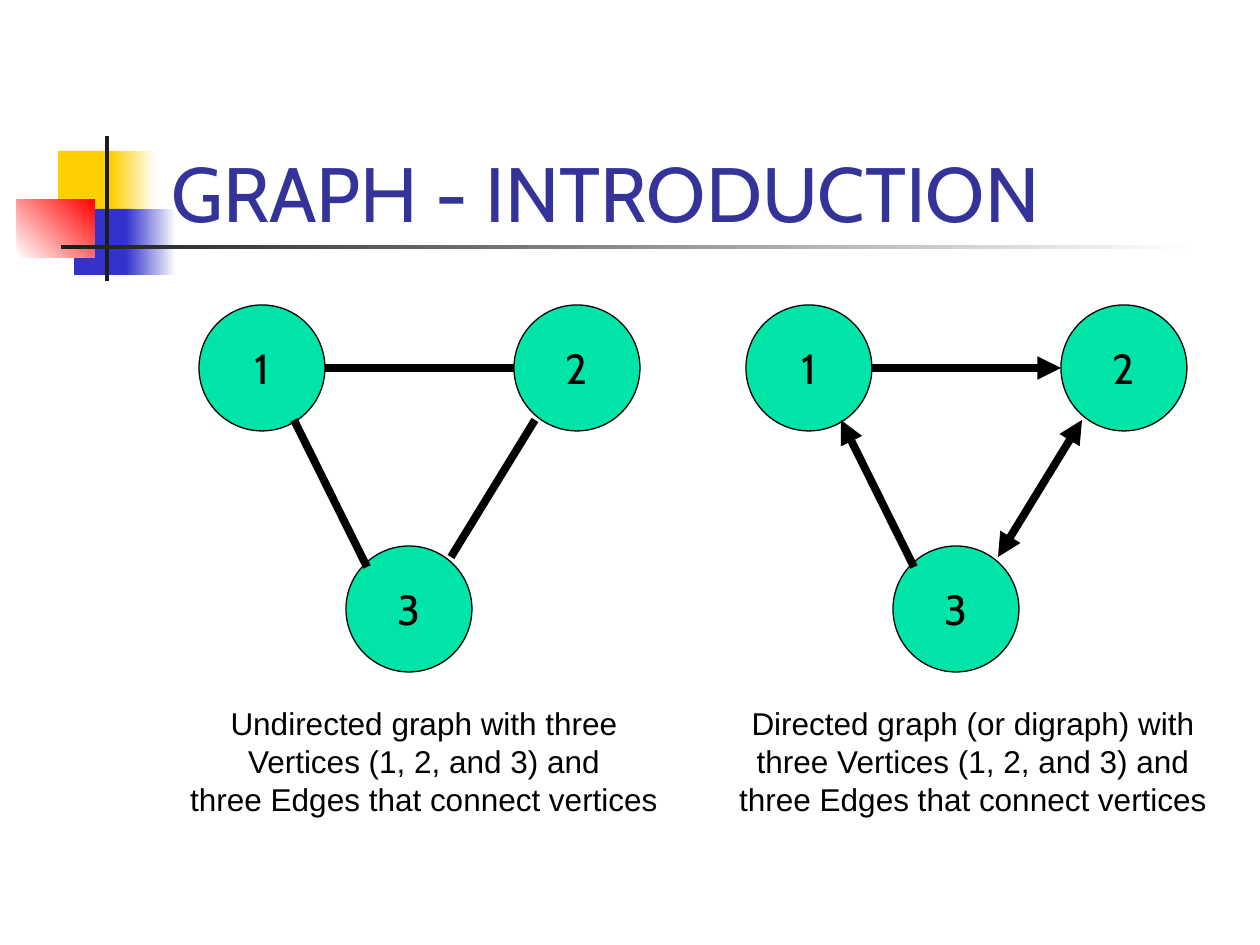
from lxml.etree import SubElement
from pptx import Presentation
from pptx.dml.color import RGBColor
from pptx.enum.shapes import MSO_CONNECTOR, MSO_SHAPE
from pptx.enum.text import MSO_ANCHOR, MSO_AUTO_SIZE, PP_ALIGN
from pptx.oxml.ns import qn
from pptx.util import Emu, Pt

PX = 914400 / 126
COLORS = {
    "yellow": "FFCF01", "blue": "3333CC", "red": "FF0000", "white": "FFFFFF",
    "bar": "1C1C1C", "title": "333399", "vertex": "00E4A8", "ink": "000000",
}
DIAMETER = 126
VERTICES = {"1": (0, 0), "2": (315, 0), "3": (147, 241)}
# Start and end of each edge, measured from the graph's top left corner
EDGES = {
    "3-2": ((252, 252), (336, 115)),
    "3-1": ((168, 262), (95, 115)),
    "1-2": ((126, 63), (315, 63)),
}


def px(*lengths):
    return [Emu(round(length * PX)) for length in lengths]


def rgb(name):
    return RGBColor.from_string(COLORS[name])


class SlideBuilder:
    heading_font = "Cabin"
    body_font = "Arial"

    def __init__(self, slide):
        self.slide = slide

    def words(self, paragraph, content, font, size, color):
        run = paragraph.add_run()
        run.text = content
        run.font.name = font
        run.font.size = Pt(size)
        run.font.color.rgb = rgb(color)

    def block(self, box, color, fade_to=None, angle=0):
        rect = self.slide.shapes.add_shape(MSO_SHAPE.RECTANGLE, *px(*box))
        rect.shadow.inherit = False
        rect.line.fill.background()
        if fade_to is None:
            rect.fill.solid()
            rect.fill.fore_color.rgb = rgb(color)
            return
        rect.fill.gradient()
        rect.fill.gradient_angle = angle
        for stop, name in zip(rect.fill.gradient_stops, (color, fade_to)):
            stop.color.rgb = rgb(name)

    def title(self, box, content):
        frame = self.slide.shapes.add_textbox(*px(*box)).text_frame
        frame.word_wrap = True
        frame.vertical_anchor = MSO_ANCHOR.BOTTOM
        self.words(frame.paragraphs[0], content, self.heading_font, 44, "title")

    def vertex(self, group, left, top, label):
        circle = group.shapes.add_shape(
            MSO_SHAPE.OVAL, *px(left, top, DIAMETER, DIAMETER))
        circle.shadow.inherit = False
        circle.fill.solid()
        circle.fill.fore_color.rgb = rgb("vertex")
        circle.line.color.rgb = rgb("ink")
        circle.line.width = Pt(0.75)
        frame = circle.text_frame
        frame.word_wrap = False
        frame.vertical_anchor = MSO_ANCHOR.MIDDLE
        frame.paragraphs[0].alignment = PP_ALIGN.CENTER
        self.words(frame.paragraphs[0], label, self.heading_font, 24, "ink")

    def edge(self, group, start, end, arrow_ends):
        edge = group.shapes.add_connector(
            MSO_CONNECTOR.STRAIGHT, *px(*start, *end))
        edge.line.color.rgb = rgb("ink")
        edge.line.width = Pt(4.5)
        properties = edge._element.spPr
        for arrow_end in arrow_ends:
            SubElement(properties.get_or_add_ln(), qn(f"a:{arrow_end}"),
                       type="triangle")
        SubElement(properties, qn("a:effectLst"))

    def graph(self, left, top, arrows):
        group = self.slide.shapes.add_group_shape()
        for label, (x, y) in VERTICES.items():
            self.vertex(group, left + x, top + y, label)
        for name, ends in EDGES.items():
            start, end = [(left + x, top + y) for x, y in ends]
            self.edge(group, start, end, arrows.get(name, ()))

    def caption(self, box, lines):
        frame = self.slide.shapes.add_textbox(*px(*box)).text_frame
        frame.word_wrap = False
        frame.auto_size = MSO_AUTO_SIZE.SHAPE_TO_FIT_TEXT
        for number, line in enumerate(lines):
            paragraph = frame.add_paragraph() if number else frame.paragraphs[0]
            paragraph.alignment = PP_ALIGN.CENTER
            self.words(paragraph, line, self.body_font, 18, "ink")


def main():
    deck = Presentation()
    deck.slide_width, deck.slide_height = px(1260, 945)
    page = SlideBuilder(deck.slides.add_slide(deck.slide_layouts[6]))

    # Corner decoration
    page.block((58, 151, 60, 66), "yellow")
    page.block((111, 151, 45, 66), "yellow", "white")
    page.block((74, 209, 58, 66), "blue")
    page.block((126, 209, 50, 66), "blue", "white")
    page.block((17, 199, 78, 59), "white", "red", 45)
    page.block((105, 136, 4, 145), "bar")
    page.block((61, 245, 1134, 4), "bar", "white")

    page.title((159, 86, 1074, 158), "GRAPH - INTRODUCTION")

    # Undirected graph
    page.graph(199, 305, {})
    page.caption((175, 698, 498, 127), [
        "Undirected graph with three",
        "Vertices (1, 2, and 3) and",
        "three Edges that connect vertices",
    ])

    # Directed graph
    page.graph(746, 305, {
        "3-2": ("headEnd", "tailEnd"),
        "3-1": ("tailEnd",),
        "1-2": ("tailEnd",),
    })
    page.caption((724, 698, 498, 127), [
        "Directed graph (or digraph) with",
        "three Vertices (1, 2, and 3) and",
        "three Edges that connect vertices",
    ])

    deck.save("out.pptx")


if __name__ == "__main__":
    main()
